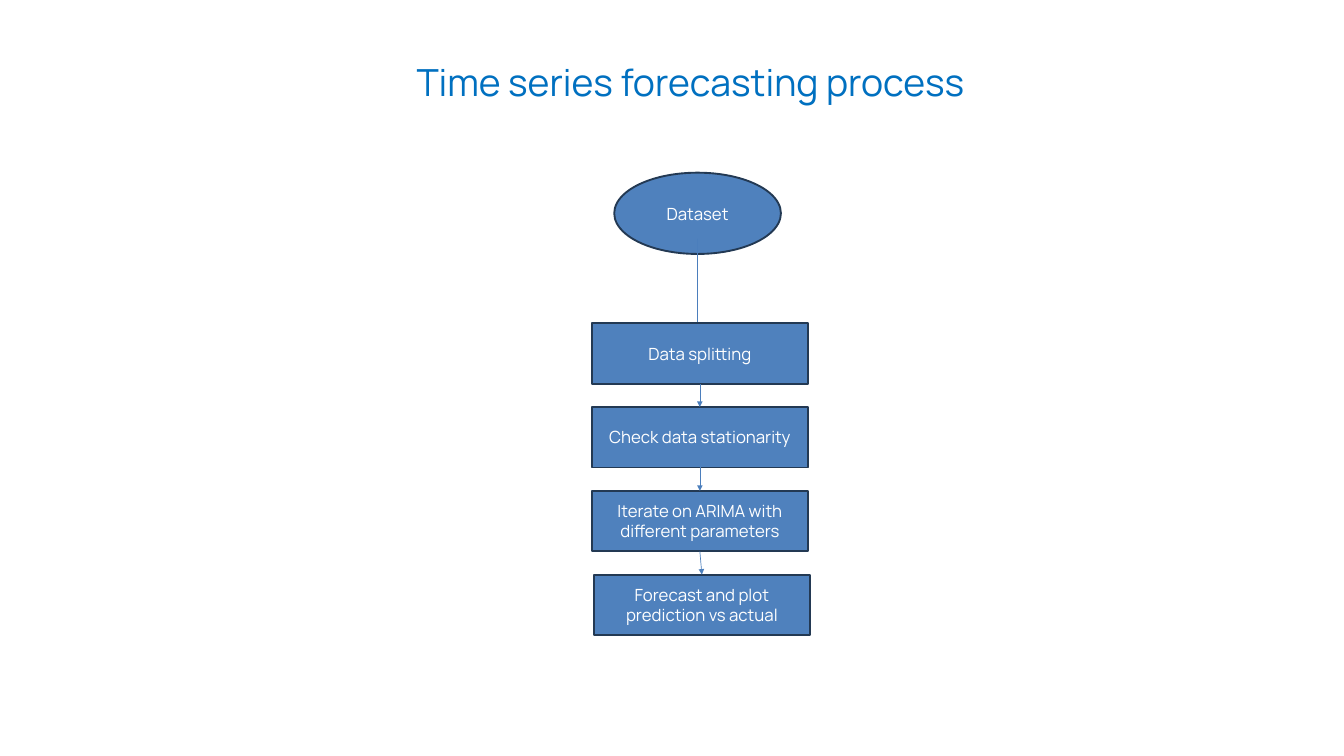
from lxml import etree
from pptx import Presentation
from pptx.dml.color import RGBColor
from pptx.enum.shapes import MSO_CONNECTOR, MSO_SHAPE
from pptx.enum.text import MSO_ANCHOR, MSO_AUTO_SIZE, PP_ALIGN
from pptx.oxml import parse_xml
from pptx.oxml.ns import nsdecls, qn
from pptx.util import Pt

OVAL, RECTANGLE = MSO_SHAPE.OVAL, MSO_SHAPE.RECTANGLE
STRAIGHT = MSO_CONNECTOR.STRAIGHT
CENTER = PP_ALIGN.CENTER
TOP, MIDDLE = MSO_ANCHOR.TOP, MSO_ANCHOR.MIDDLE

TITLE = "Time series forecasting process"
START = "Dataset"
STEPS = [
    "Data splitting",
    "Check data stationarity",
    "Iterate on ARIMA with different parameters",
    "Forecast and plot prediction vs actual",
]

FONT = "Manrope"
TITLE_BOX = (378, 63.4, 723.6, 318.2)
START_BOX = (658.1, 185, 178.6, 87.1)
STEP_LEFT, STEP_TOP, STEP_WIDTH, STEP_HEIGHT = 634.3, 346.3, 231.1, 64.8
STEP_PITCH = 89.8
LAST_STEP_SHIFT = 2.2
START_ARROW = (747.4, 255.6, 747.4, 360.7)

TITLE_SHADOW = f"""<a:effectLst {nsdecls("a")}>
  <a:outerShdw blurRad="38100" dist="38100" dir="2700000" algn="tl">
    <a:srgbClr val="000000"><a:alpha val="43000"/></a:srgbClr>
  </a:outerShdw>
</a:effectLst>"""


def color(value):
    return RGBColor.from_string(value)


def write(shape, text, size, text_color, frame_format):
    frame = shape.text_frame
    for name, value in {"word_wrap": True, **frame_format}.items():
        setattr(frame, name, value)
    paragraph = frame.paragraphs[0]
    paragraph.alignment = CENTER
    run = paragraph.add_run()
    run.text = text
    run.font.name = FONT
    run.font.size = Pt(size)
    run.font.color.rgb = color(text_color)
    return run


def add_title(slide):
    title = slide.shapes.title
    for name, value in zip(("left", "top", "width", "height"), TITLE_BOX):
        setattr(title, name, Pt(value))
    margins = {f"margin_{side}": 0 for side in ("left", "top", "right", "bottom")}
    frame_format = {"vertical_anchor": TOP, "auto_size": MSO_AUTO_SIZE.NONE, **margins}
    run = write(title, TITLE, 40, "0070C0", frame_format)
    fill = run.font._element.find(qn("a:solidFill"))
    fill.addnext(parse_xml(TITLE_SHADOW))


def add_node(slide, kind, box, text):
    shape = slide.shapes.add_shape(kind, *map(Pt, box))
    shape.shadow.inherit = False
    shape.fill.solid()
    shape.fill.fore_color.rgb = color("4F81BD")
    shape.line.color.rgb = color("233953")
    shape.line.width = Pt(2)
    write(shape, text, 18, "FFFFFF", {"vertical_anchor": MIDDLE})


def add_arrow(slide, ends):
    arrow = slide.shapes.add_connector(STRAIGHT, *map(Pt, ends))
    arrow.line.color.rgb = color("4B7EBC")
    arrow.line.width = Pt(0.75)
    properties = arrow._element.spPr
    etree.SubElement(properties.find(qn("a:ln")), qn("a:tailEnd"), type="triangle")
    etree.SubElement(properties, qn("a:effectLst"))


def main():
    presentation = Presentation()
    presentation.slide_width, presentation.slide_height = Pt(1440), Pt(810)
    slide = presentation.slides.add_slide(presentation.slide_layouts[5])

    add_title(slide)
    add_node(slide, OVAL, START_BOX, START)
    add_arrow(slide, START_ARROW)

    boxes = [
        (STEP_LEFT, STEP_TOP + index * STEP_PITCH, STEP_WIDTH, STEP_HEIGHT)
        for index in range(len(STEPS))
    ]
    boxes[-1] = (STEP_LEFT + LAST_STEP_SHIFT, *boxes[-1][1:])
    for box, text in zip(boxes, STEPS):
        add_node(slide, RECTANGLE, box, text)

    for upper, lower in zip(boxes, boxes[1:]):
        add_arrow(slide, (
            upper[0] + STEP_WIDTH / 2, upper[1] + STEP_HEIGHT,
            lower[0] + STEP_WIDTH / 2, lower[1],
        ))

    presentation.save("out.pptx")


if __name__ == "__main__":
    main()
